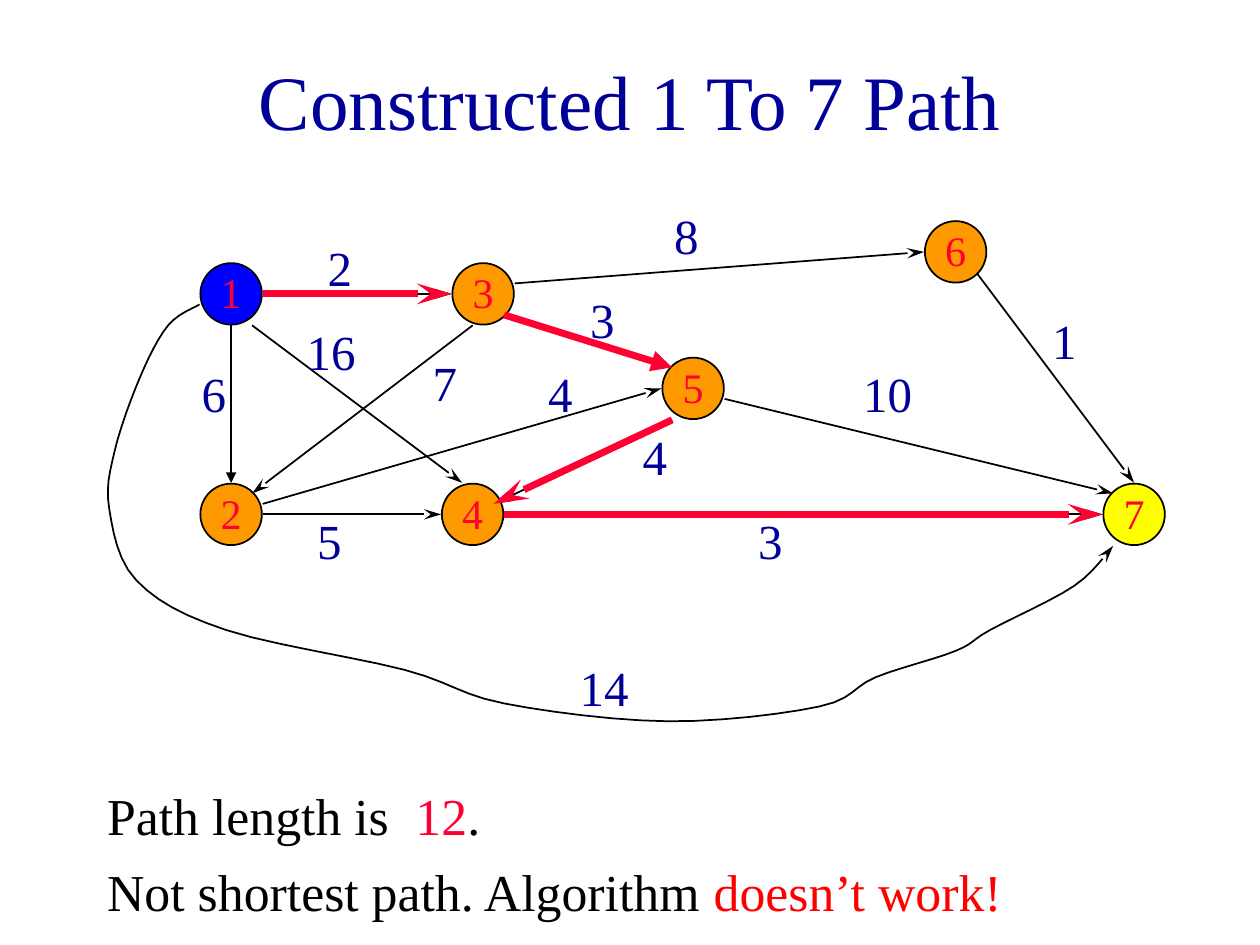
import typing

import lxml.etree
import pptx
import pptx.dml.color
import pptx.enum.shapes
import pptx.enum.text
import pptx.oxml.ns
import pptx.util

Cm = pptx.util.Cm
Pt = pptx.util.Pt
RGB = pptx.dml.color.RGBColor
qn = pptx.oxml.ns.qn
Align = pptx.enum.text.PP_ALIGN
Anchor = pptx.enum.text.MSO_ANCHOR

FONT = "Times New Roman"
NAVY = RGB(0x00, 0x00, 0x99)
BLUE = RGB(0x00, 0x00, 0xFF)
ORANGE = RGB(0xFF, 0x99, 0x00)
YELLOW = RGB(0xFF, 0xFF, 0x00)
ROSE = RGB(0xFF, 0x00, 0x33)
RED = RGB(0xFF, 0x00, 0x00)
BLACK = RGB(0x00, 0x00, 0x00)


class Edge(typing.NamedTuple):
    """A weighted edge: its ends, their ports, and where its cost stands."""
    start: int
    leave: str
    end: int
    enter: str
    cost: int
    spot: tuple
    head: str = "stealth"
    route: str = ""


COLS = 102
STEPS = 6
NODES = {1: (12, 9), 2: (12, 30), 3: (36, 9), 4: (35, 30),
         5: (56, 18), 6: (81, 5), 7: (98, 30)}
FILLS = {1: BLUE, 7: YELLOW}
PORTS = {
    "N": (0, -3), "E": (3, 0), "S": (0, 3), "W": (-3, 0),
    "NE": (2, -2), "SE": (2, 2), "NW": (-2, -2), "SW": (-2, 3),
    "NNW": (-1, -3), "ENE": (3, -1), "NEE": (2, -1), "ESE": (3, 1),
    "SSE": (2, 3), "SSW": (-1, 3), "WSW": (-3, 1),
}
EDGES = [
    Edge(1, "E", 3, "W", 2, (20, 3), route="stealth"),
    Edge(1, "S", 2, "N", 6, (8, 15), head="triangle"),
    Edge(1, "SSE", 4, "NNW", 16, (18, 11)),
    Edge(2, "E", 4, "W", 5, (19, 29)),
    Edge(2, "ENE", 5, "W", 4, (41, 15)),
    Edge(3, "SSW", 2, "NE", 7, (30, 14)),
    Edge(3, "SE", 5, "NW", 3, (45, 8), route="triangle"),
    Edge(3, "ENE", 6, "W", 8, (53, 0)),
    Edge(4, "E", 7, "W", 3, (61, 29), route="stealth"),
    Edge(5, "SW", 4, "NEE", 4, (50, 21), route="stealth"),
    Edge(5, "ESE", 7, "NW", 10, (71, 15)),
    Edge(6, "SE", 7, "N", 1, (89, 10)),
]
DETOUR = Edge(1, "WSW", 7, "SW", 14, (44, 43))
BENDS = [(6, 12), (3.3, 17), (0.9, 24), (0.4, 29.5), (3, 36.3), (11.5, 41),
         (28.5, 44.8), (38, 48), (53.6, 49.7), (68, 48.3), (73.4, 45.5),
         (81, 43), (84.3, 41), (92.3, 36.8)]
NOTES = [
    [("Path length is  ", BLACK), ("12", ROSE), (".", BLACK)],
    [("Not shortest path. Algorithm ", BLACK), ("doesn’t work!", RED)],
]


def style(font, size, color):
    """Set the face, size and colour of a font."""
    font.name = FONT
    font.size = Pt(size)
    font.color.rgb = color


def label(slide, box, text, size, color):
    """Add a one-line text box and return its frame."""
    frame = slide.shapes.add_textbox(*box).text_frame
    frame.word_wrap = True
    frame.text = text
    style(frame.paragraphs[0].runs[0].font, size, color)
    return frame


def point(shape, color, width, head):
    """Style a line and give its end an arrowhead."""
    shape.line.color.rgb = color
    shape.line.width = Pt(width)
    props = shape.element.spPr
    size = "lg" if head == "stealth" else "med"
    lxml.etree.SubElement(props.find(qn("a:ln")), qn("a:tailEnd"),
                          type=head, w="med", len=size)
    if props.find(qn("a:effectLst")) is None:
        lxml.etree.SubElement(props, qn("a:effectLst"))


def port(name, side):
    """Return the grid point where an edge meets a node."""
    return tuple(a + b for a, b in zip(NODES[name], PORTS[side]))


def arrow(slide, place, edge, color, width, head):
    """Draw a straight arrow along an edge."""
    kind = pptx.enum.shapes.MSO_CONNECTOR.STRAIGHT
    start = place(*port(edge.start, edge.leave))
    end = place(*port(edge.end, edge.enter))
    point(slide.shapes.add_connector(kind, *start, *end), color, width, head)


def node(slide, x, y, text, fill):
    """Draw a numbered circle centred on a point."""
    size = Cm(1.24)
    oval = pptx.enum.shapes.MSO_SHAPE.OVAL
    shape = slide.shapes.add_shape(oval, x - size // 2, y - size // 2, size, size)
    shape.shadow.inherit = False
    shape.fill.solid()
    shape.fill.fore_color.rgb = fill
    shape.line.color.rgb = BLACK
    shape.line.width = Pt(1)
    frame = shape.text_frame
    frame.margin_left = frame.margin_right = frame.margin_top = 0
    frame.margin_bottom = Cm(0.08)
    frame.word_wrap = False
    frame.vertical_anchor = Anchor.MIDDLE
    frame.text = text
    frame.paragraphs[0].alignment = Align.CENTER
    style(frame.paragraphs[0].runs[0].font, 24, ROSE)


def blend(a, b, c, d, t):
    """Return the Catmull-Rom value between b and c at share t."""
    return b + t / 2 * (c - a + t * (2*a - 5*b + 4*c - d + t * (3*(b - c) + d - a)))


def smooth(knots):
    """Return points on a smooth curve through the knots."""
    ends = [knots[0], *knots, knots[-1]]
    spans = zip(ends, ends[1:], ends[2:], ends[3:])
    dots = [tuple(blend(*axis, i / STEPS) for axis in zip(*span))
            for span in spans for i in range(STEPS)]
    return dots + [knots[-1]]


def curve(slide, place, edge, bends):
    """Draw an arrow that follows an edge through its bends."""
    knots = [port(edge.start, edge.leave), *bends, port(edge.end, edge.enter)]
    first, *rest = [place(*dot) for dot in smooth(knots)]
    pen = slide.shapes.build_freeform(*first)
    pen.add_line_segments(rest, close=False)
    shape = pen.convert_to_shape()
    shape.shadow.inherit = False
    shape.fill.background()
    point(shape, BLACK, 1, edge.head)


def graph(slide, left, top, width):
    """Draw the weighted graph and its red route."""
    unit = width / COLS

    def place(x, y):
        """Turn grid units into slide lengths."""
        return round(left + x * unit), round(top + y * unit)

    for edge in EDGES:
        arrow(slide, place, edge, BLACK, 1, edge.head)
    curve(slide, place, DETOUR, BENDS)
    for name, spot in NODES.items():
        node(slide, *place(*spot), str(name), FILLS.get(name, ORANGE))
    for edge in EDGES + [DETOUR]:
        text = str(edge.cost)
        wide = round(unit * (2 + 3 * len(text)))
        label(slide, (*place(*edge.spot), wide, Cm(1.45)), text, 28, NAVY)
    for edge in EDGES:
        if edge.route:
            arrow(slide, place, edge, ROSE, 4, edge.route)


def title(slide, *box):
    """Place the centred heading."""
    frame = label(slide, box, "Constructed 1 To 7 Path", 44, NAVY)
    frame.vertical_anchor = Anchor.MIDDLE
    frame.paragraphs[0].alignment = Align.CENTER


def notes(slide, *box):
    """Place the closing remarks."""
    frame = slide.shapes.add_textbox(*box).text_frame
    frame.word_wrap = True
    for i, parts in enumerate(NOTES):
        para = frame.add_paragraph() if i else frame.paragraphs[0]
        para.space_before = Pt(8 if i else 0)
        for text, color in parts:
            run = para.add_run()
            run.text = text
            style(run.font, 29.6, color)


def main():
    """Build and save the slide."""
    deck = pptx.Presentation()
    deck.slide_width, deck.slide_height = Cm(25.4), Cm(19.05)
    slide = deck.slides.add_slide(deck.slide_layouts[6])
    title(slide, Cm(1.91), Cm(0.42), Cm(21.59), Cm(3.18))
    graph(slide, Cm(2.12), Cm(4.02), Cm(21.59))
    notes(slide, Cm(1.91), Cm(15.68), Cm(21.59), Cm(3.18))
    deck.save("out.pptx")


if __name__ == "__main__":
    main()
